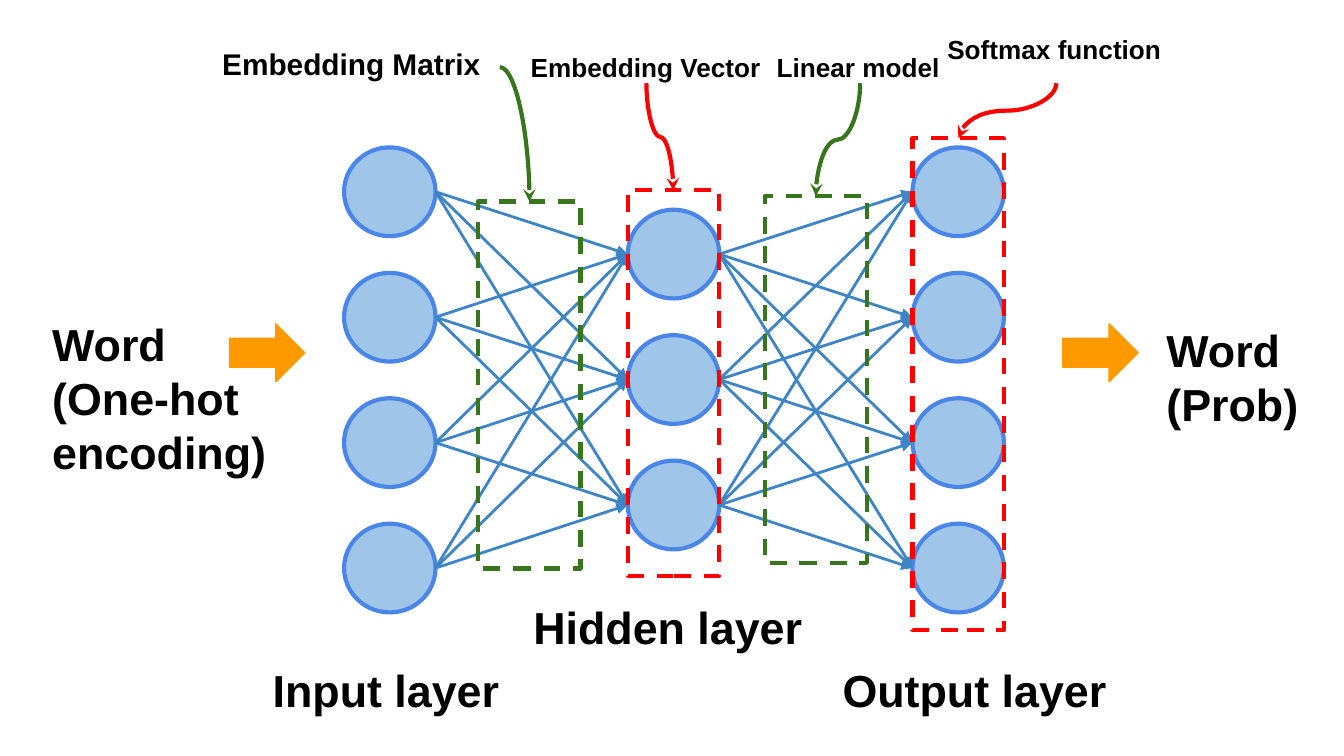
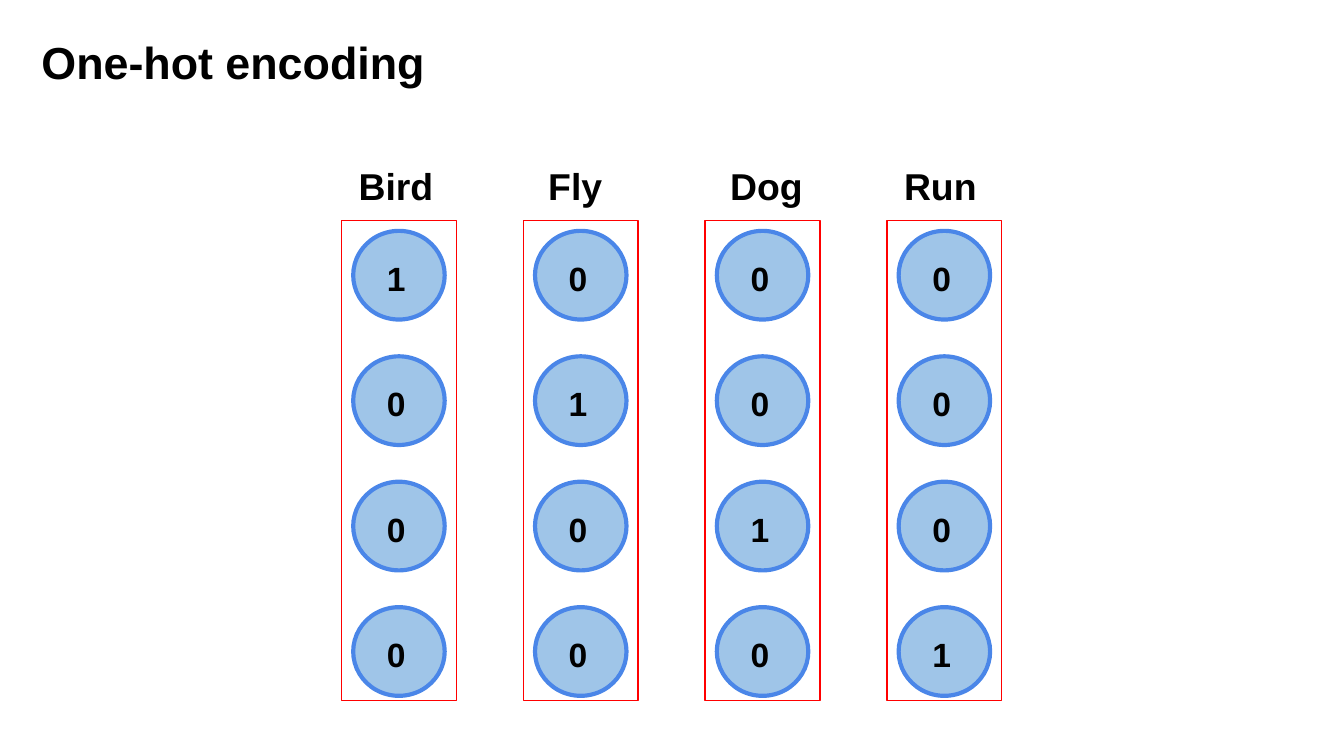
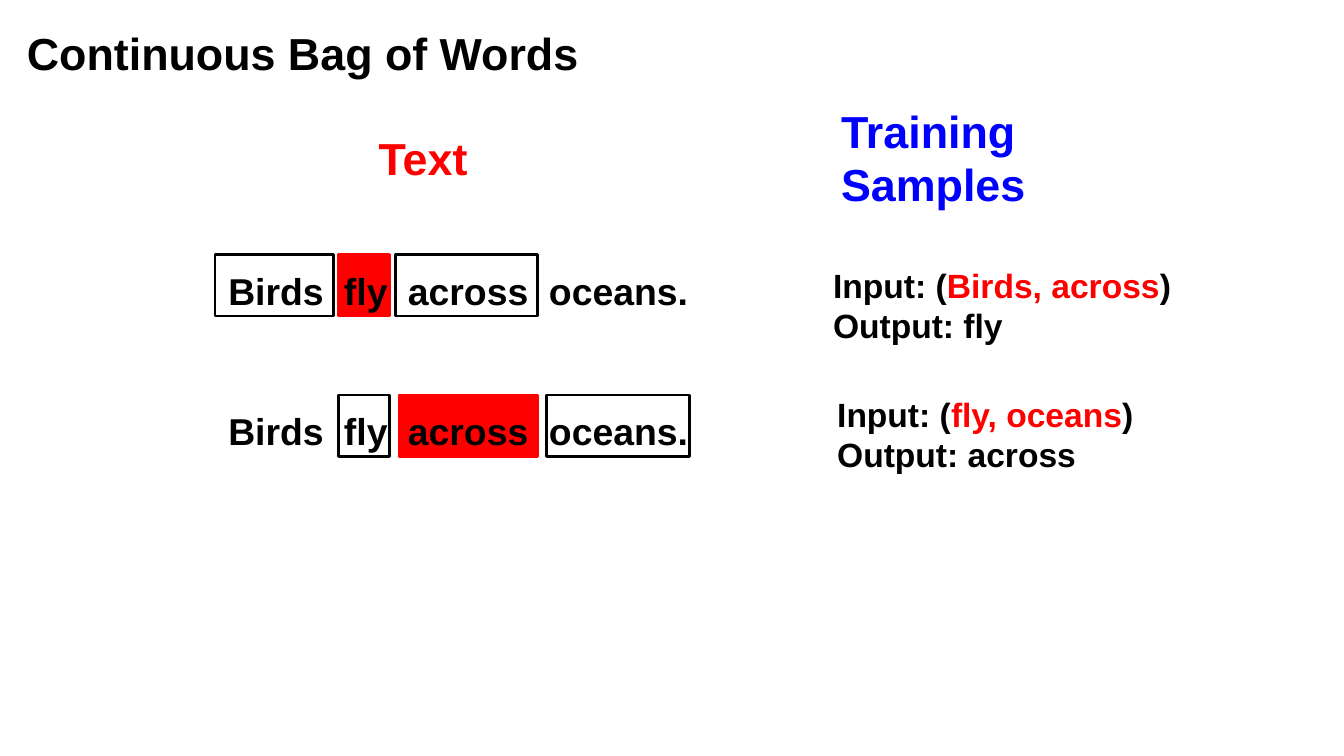
from dataclasses import dataclass
from itertools import product

from lxml.etree import SubElement
from pptx import Presentation
from pptx.dml.color import RGBColor
from pptx.enum.dml import MSO_LINE
from pptx.enum.shapes import MSO_CONNECTOR, MSO_SHAPE
from pptx.enum.text import MSO_ANCHOR, MSO_AUTO_SIZE, PP_ALIGN
from pptx.oxml.ns import qn
from pptx.util import Pt


@dataclass(frozen=True)
class Theme:
    """Colours, type sizes and measures shared by the slides."""
    font: str = "Arial"
    ink: str = "000000"
    red: str = "FF0000"
    blue: str = "0000FF"
    green: str = "38761D"
    orange: str = "FF9900"
    node: str = "9FC5E8"
    node_edge: str = "4A86E8"
    link: str = "3D85C6"
    heading: int = 24
    word: int = 20
    body: int = 18
    label: int = 16
    small: int = 14
    inset: float = 7.2
    thick: float = 2.25
    medium: float = 1.5
    thin: float = 0.75
    node_width: float = 49
    node_height: float = 47.5
    node_pitch: float = 67.2


@dataclass(frozen=True)
class Box:
    """A rectangle in points."""
    left: float
    top: float
    width: float
    height: float

    def inner(self, left, top, width, height):
        """Return a box placed relative to this one."""
        return Box(self.left + left, self.top + top, width, height)

    def point(self, left, top):
        """Return a point placed relative to this box."""
        return self.left + left, self.top + top

    def lengths(self):
        """Return left, top, width and height as lengths."""
        return [Pt(value) for value in (self.left, self.top, self.width, self.height)]


THEME = Theme()
PAGE = Box(0, 0, 720, 405)


def apply_format(target, values):
    """Set each named attribute on the target."""
    for name, value in values.items():
        setattr(target, name, value)


def write_text(frame, paragraphs, size, color=THEME.ink):
    """Fill a text frame; a paragraph is a string or a list of (text, colour) spans."""
    inset = Pt(THEME.inset)
    apply_format(frame, {
        "word_wrap": True, "auto_size": MSO_AUTO_SIZE.NONE,
        "vertical_anchor": MSO_ANCHOR.TOP, "margin_left": inset,
        "margin_right": inset, "margin_top": inset, "margin_bottom": inset})
    for index, content in enumerate(paragraphs):
        para = frame.add_paragraph() if index else frame.paragraphs[0]
        para.alignment = PP_ALIGN.LEFT
        spans = [(content, color)] if isinstance(content, str) else content
        for text, span_color in spans:
            span = para.add_run()
            span.text = text
            apply_format(span.font, {"name": THEME.font, "size": Pt(size), "bold": True})
            span.font.color.rgb = RGBColor.from_string(span_color)


def add_text(page, box, paragraphs, size, color=THEME.ink):
    """Add a text box and return its frame."""
    frame = page.shapes.add_textbox(*box.lengths()).text_frame
    write_text(frame, paragraphs, size, color)
    return frame


def add_title(page, box, text):
    """Move and format the title placeholder."""
    title = page.shapes.title
    apply_format(title, dict(zip(("left", "top", "width", "height"), box.lengths())))
    write_text(title.text_frame, [text], THEME.heading)


def format_line(line, color, width, dash=None):
    """Set colour, width and dash of a line."""
    line.color.rgb = RGBColor.from_string(color)
    apply_format(line, {"width": Pt(width), "dash_style": dash})


def add_figure(page, kind, box, edge, width, fill=None, dash=None):
    """Add a preset shape, hollow unless a fill is given."""
    shape = page.shapes.add_shape(kind, *box.lengths())
    shape.shadow.inherit = False
    if fill:
        shape.fill.solid()
        shape.fill.fore_color.rgb = RGBColor.from_string(fill)
    else:
        shape.fill.background()
    format_line(shape.line, edge, width, dash)


def add_arrow(page, kind, start, end, color, width, head):
    """Add a connector with an arrowhead at its end."""
    arrow = page.shapes.add_connector(kind, *[Pt(value) for value in (*start, *end)])
    format_line(arrow.line, color, width)
    properties = arrow.element.spPr
    SubElement(properties.find(qn("a:ln")), qn("a:tailEnd"), type=head)
    SubElement(properties, qn("a:effectLst"))
    return properties


def add_bend(page, start, end, color):
    """Add a quarter curve that leaves sideways and arrives downwards."""
    properties = add_arrow(page, MSO_CONNECTOR.CURVE, start, end, color, THEME.thick, "stealth")
    properties.find(qn("a:prstGeom")).set("prst", "curvedConnector2")


def add_drop(page, start, end, color):
    """Add an S-curve that leaves and arrives downwards."""
    middle_x, middle_y = (start[0] + end[0]) / 2, (start[1] + end[1]) / 2
    across, down = abs(end[0] - start[0]) / 2, (end[1] - start[1]) / 2
    rightward = end[0] > start[0]
    reach = -down if rightward else down
    properties = add_arrow(
        page, MSO_CONNECTOR.CURVE, (middle_x - reach, middle_y - across),
        (middle_x + reach, middle_y + across), color, THEME.thick, "stealth")
    properties.find(qn("a:xfrm")).set("rot", str((270 if rightward else 90) * 60000))


def add_nodes(page, area, count):
    """Stack circles from the top of the area and return their boxes."""
    boxes = [area.inner(0, row * THEME.node_pitch, THEME.node_width, THEME.node_height)
             for row in range(count)]
    for box in boxes:
        add_figure(page, MSO_SHAPE.OVAL, box, THEME.node_edge, THEME.thick, THEME.node)
    return boxes


def draw_network(page, area):
    """Draw three fully linked layers, their dashed frames and names."""
    layers = [add_nodes(page, area.inner(left, top, THEME.node_width, area.height), count)
              for left, top, count in ((0, 5, 4), (152, 38.4, 3), (304.5, 5, 4))]
    for sources, targets in zip(layers, layers[1:]):
        for source, target in product(sources, targets):
            add_arrow(page, MSO_CONNECTOR.STRAIGHT,
                      source.point(source.width, source.height / 2),
                      target.point(0, target.height / 2),
                      THEME.link, THEME.medium, "triangle")
    for left, top, width, height, color in (
            (72, 34, 54.7, 196.6, THEME.green), (152, 28, 49, 206.6, THEME.red),
            (225.4, 31, 54.7, 196.6, THEME.green), (304.5, 0, 49, 263.5, THEME.red)):
        add_figure(page, MSO_SHAPE.RECTANGLE, area.inner(left, top, width, height),
                   color, THEME.thick, dash=MSO_LINE.DASH)
    for name, left, top, width in (
            ("Input layer", -45.3, 273.8, 139), ("Hidden layer", 94.3, 240, 164.2),
            ("Output layer", 260, 273.8, 160)):
        add_text(page, area.inner(left, top, width, 37.4), [name], THEME.heading)


def draw_callouts(page, area):
    """Name the framed parts and point at them with curved arrows."""
    for name, size, place, start, end, color, curve in (
            ("Embedding Matrix", THEME.label, (0, 7.3, 156.2, 37.4),
             (155.8, 26), (171.7, 98), THEME.green, add_bend),
            ("Embedding Vector", THEME.small, (165.2, 10.2, 139, 24.5),
             (234.3, 34.6), (248.7, 92), THEME.red, add_drop),
            ("Linear model", THEME.small, (297, 10.2, 104.4, 24.5),
             (348.8, 34.6), (325, 95), THEME.green, add_drop),
            ("Softmax function", THEME.small, (388.4, 0.8, 131, 33.8),
             (453.9, 34.6), (401.4, 64), THEME.red, add_drop)):
        add_text(page, area.inner(*place), [name], size)
        curve(page, area.point(*start), area.point(*end), color)


def draw_flow(page, area):
    """Show the word going in on the left and coming out on the right."""
    for left in (102.1, 548.5):
        add_figure(page, MSO_SHAPE.RIGHT_ARROW, area.inner(left, 10.8, 40.3, 31),
                   THEME.orange, THEME.thin, THEME.orange)
    add_text(page, area.inner(0, 0, 150.5, 47.5),
             ["Word", "(One-hot", "encoding)"], THEME.heading)
    add_text(page, area.inner(596.9, 2.9, 94.3, 47.5), ["Word", "(Prob)"], THEME.heading)


def draw_vector(page, area, word, word_left, hot_row):
    """Draw one word and its one-hot column."""
    nodes = add_nodes(page, area.inner(6.2, 5.5, THEME.node_width, area.height), 4)
    add_text(page, area.inner(word_left, -38.2, 58.3, 31), [word], THEME.word)
    add_figure(page, MSO_SHAPE.RECTANGLE, area, THEME.red, THEME.thin)
    for row, node in enumerate(nodes):
        add_text(page, node.inner(11, 7.2, 26.6, 31), [str(int(row == hot_row))], THEME.body)


def draw_sentence(page, area, frames):
    """Draw the sentence on tab stops over its (left, width, filled) word frames."""
    for left, width, filled in frames:
        add_figure(page, MSO_SHAPE.RECTANGLE, area.inner(left, 0, width, 33.1),
                   THEME.red if filled else THEME.ink, THEME.medium,
                   THEME.red if filled else None)
    frame = add_text(page, area, ["Birds\tfly\tacross\toceans."], THEME.word)
    stops = SubElement(frame.paragraphs[0]._p.get_or_add_pPr(), qn("a:tabLst"))
    for stop in (62, 96.2, 171.8):
        SubElement(stops, qn("a:tab"), pos=str(Pt(stop)), algn="l")


def draw_sample(page, area, context, target):
    """Write one training sample."""
    add_text(page, area, [
        [("Input: (", THEME.ink), (context, THEME.red), (")", THEME.ink)],
        f"Output: {target}"], THEME.body)


def build_network_page(page):
    """Build the network slide."""
    draw_network(page, PAGE.inner(184.3, 74, 353.5, 263.5))
    draw_flow(page, PAGE.inner(20.9, 162.7, 691.2, 50.4))
    draw_callouts(page, PAGE.inner(112, 10, 519.4, 98))


def build_encoding_page(page):
    """Build the one-hot encoding slide."""
    add_title(page, PAGE.inner(15, 11.5, 223.2, 35.3), "One-hot encoding")
    for column, (word, word_left) in enumerate(
            (("Bird", 2), ("Fly", 6.2), ("Dog", 6.2), ("Run", 2))):
        draw_vector(page, PAGE.inner(183 + column * 97.4, 118.2, 61.5, 257),
                    word, word_left, column)


def build_words_page(page):
    """Build the continuous bag of words slide."""
    add_title(page, PAGE.inner(7.2, 6.5, 312.5, 41.8), "Continuous Bag of Words")
    add_text(page, PAGE.inner(195.8, 62.6, 67.7, 41.8), ["Text"], THEME.heading, THEME.red)
    add_text(page, PAGE.inner(443.5, 48.2, 113.8, 45.4), ["Training", "Samples"],
             THEME.heading, THEME.blue)
    draw_sentence(page, PAGE.inner(115.2, 136.2, 265, 41.8),
                  ((66.2, 27.4, True), (96.5, 76.3, False), (0, 63.4, False)))
    draw_sentence(page, PAGE.inner(115.2, 211.7, 265, 41.8),
                  ((98.6, 74.2, True), (177.8, 76.3, False), (66.2, 27.4, False)))
    draw_sample(page, PAGE.inner(439.2, 134.6, 221.8, 41.8), "Birds, across", "fly")
    draw_sample(page, PAGE.inner(441.4, 203.8, 186.5, 56.9), "fly, oceans", "across")


def main():
    """Build and save the deck."""
    deck = Presentation()
    apply_format(deck, {"slide_width": Pt(PAGE.width), "slide_height": Pt(PAGE.height)})
    title_only, blank = deck.slide_layouts[5], deck.slide_layouts[6]
    for layout, build in ((blank, build_network_page), (title_only, build_encoding_page),
                          (title_only, build_words_page)):
        build(deck.slides.add_slide(layout))
    deck.save("out.pptx")


if __name__ == "__main__":
    main()
